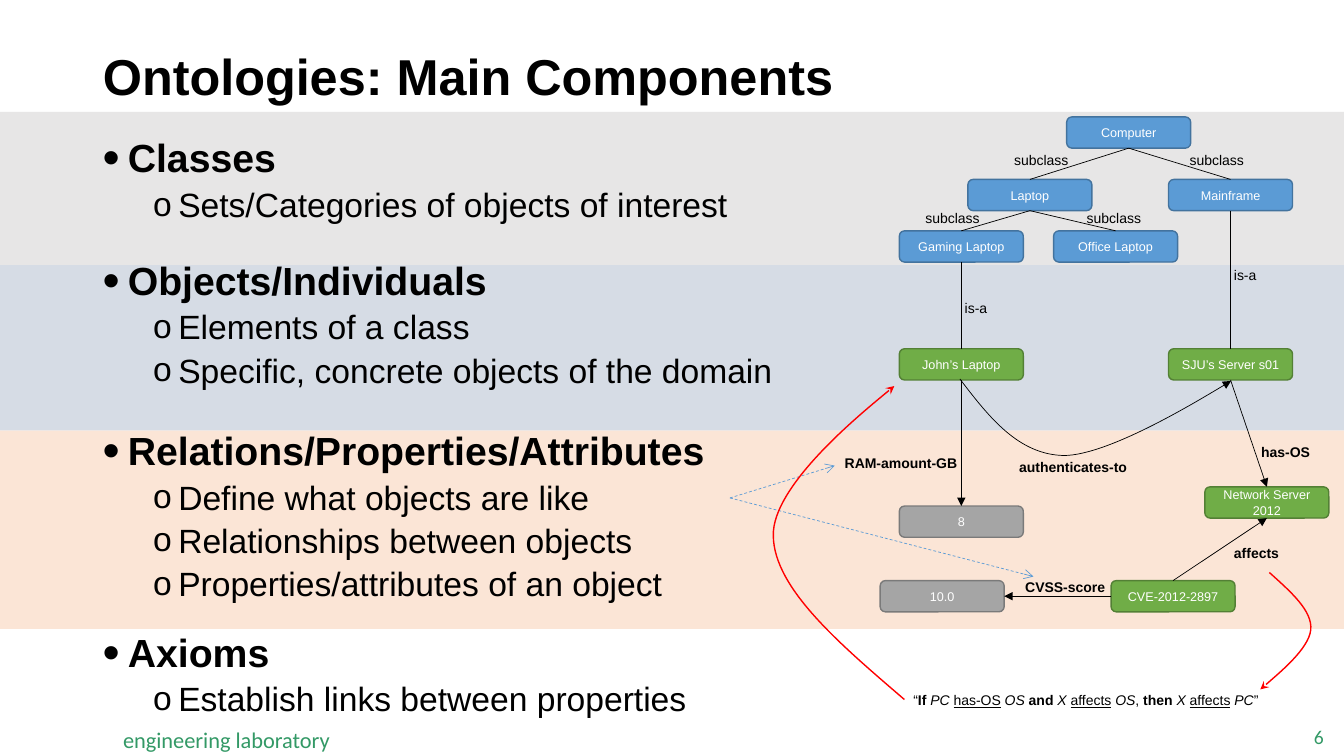
import lxml.etree
import pptx
import pptx.dml.color
import pptx.enum.dml
import pptx.enum.shapes
import pptx.enum.text
import pptx.oxml.ns
import pptx.util

Inches = pptx.util.Inches
Pt = pptx.util.Pt
qn = pptx.oxml.ns.qn
SHAPES = pptx.enum.shapes.MSO_SHAPE
ALIGN = pptx.enum.text.PP_ALIGN
ANCHOR = pptx.enum.text.MSO_ANCHOR
FIT = pptx.enum.text.MSO_AUTO_SIZE
DASH = pptx.enum.dml.MSO_LINE.DASH

TOP, LEFT, BOTTOM, RIGHT = range(4)
NODE_WIDTH, NODE_HEIGHT = 1.23, 0.31
BLUE, GREEN, GRAY = ("5B9BD5", "43739E"), ("70AD47", "538035"), ("A5A5A5", "7A7A7A")
NO_INSETS = dict.fromkeys(("margin_left", "margin_top", "margin_right", "margin_bottom"), 0)

BANDS = [(4.27, 1.97, "FBE5D6"), (1.11, 1.54, "E7E6E6"), (2.63, 1.64, "D6DCE5")]
TOPICS = [
    ("Classes", 0, ["Sets/Categories of objects of interest"]),
    ("Objects/Individuals", 26.4,
     ["Elements of a class", "Specific, concrete objects of the domain"]),
    ("Relations/Properties/Attributes", 29.5,
     ["Define what objects are like", "Relationships between objects",
      "Properties/attributes of an object"]),
    ("Axioms", 21.2, ["Establish links between properties"]),
]
NODES = {
    "Computer": (3.58, 0.16, BLUE),
    "Laptop": (2.6, 0.78, BLUE),
    "Mainframe": (4.59, 0.78, BLUE),
    "Gaming Laptop": (1.92, 1.29, BLUE),
    "Office Laptop": (3.45, 1.29, BLUE),
    "John’s Laptop": (1.92, 2.46, GREEN),
    "SJU’s Server s01": (4.59, 2.46, GREEN),
    "8": (1.92, 4.02, GRAY),
    "Network Server 2012": (4.95, 3.83, GREEN),
    "CVE-2012-2897": (4.02, 4.76, GREEN),
    "10.0": (1.73, 4.76, GRAY),
}
LINKS = [
    ("Computer", BOTTOM, "Laptop", TOP, None),
    ("Computer", BOTTOM, "Mainframe", TOP, None),
    ("Laptop", BOTTOM, "Gaming Laptop", TOP, None),
    ("Laptop", BOTTOM, "Office Laptop", TOP, None),
    ("Gaming Laptop", BOTTOM, "John’s Laptop", TOP, None),
    ("Mainframe", BOTTOM, "SJU’s Server s01", TOP, None),
    ("John’s Laptop", BOTTOM, "8", TOP, "triangle"),
    ("CVE-2012-2897", TOP, "Network Server 2012", BOTTOM, "triangle"),
    ("SJU’s Server s01", BOTTOM, "Network Server 2012", TOP, "triangle"),
    ("CVE-2012-2897", LEFT, "10.0", RIGHT, "triangle"),
]
LABELS = [
    ("subclass", 4.7, 0.45, 0.75, False),
    ("subclass", 2.96, 0.45, 0.75, False),
    ("subclass", 2.08, 1.03, 0.75, False),
    ("subclass", 3.68, 1.03, 0.75, False),
    ("is-a", 2.47, 1.92, 0.43, False),
    ("is-a", 5.14, 1.59, 0.43, False),
    ("authenticates-to", 3.01, 3.5, 1.28, True),
    ("RAM-amount-GB", 1.28, 3.46, 1.33, True),
    ("has-OS", 5.41, 3.35, 0.69, True),
    ("affects", 5.14, 4.35, 0.65, True),
    ("CVSS-score", 3.07, 4.69, 1, True),
]
POINTERS = [(0.24, 3.94, 1.28, 3.62), (0.24, 3.94, 3.25, 4.72)]
CURVES = [
    ([(2.52, 2.76), (2.81, 3.14), (3.1, 3.51), (3.55, 3.52),
      (4, 3.52), (5.21, 2.78), (5.21, 2.78)], "000000", 0.5, "triangle"),
    ([(5.59, 4.68), (5.8, 4.87), (6.02, 5.06), (6, 5.25),
      (5.98, 5.44), (5.5, 5.84), (5.5, 5.84)], "FF0000", 1, "stealth"),
    ([(1.97, 5.94), (1.33, 5.39), (0.68, 4.84), (0.67, 4.32),
      (0.65, 3.81), (1.87, 2.83), (1.87, 2.83)], "FF0000", 1, "stealth"),
]
AXIOM = [("“", ""), ("If ", "b"), ("PC ", "i"), ("has-OS", "u"), (" ", ""), ("OS ", "i"),
         ("and ", "b"), ("X ", "i"), ("affects", "u"), (" ", ""), ("OS", "i"), (", ", ""),
         ("then ", "b"), ("X ", "i"), ("affects", "u"), (" ", ""), ("PC", "i"), ("”", "")]


def colour(value):
    return pptx.dml.color.RGBColor.from_string(value)


def apply(target, values):
    for name, value in values.items():
        setattr(target, name, value)


def style_font(font, size, value="000000", name="Arial", bold=False):
    apply(font, {"size": Pt(size), "name": name, "bold": bold})
    font.color.rgb = colour(value)


def style_line(shape, value, width, arrow=None, dash=None):
    shape.line.color.rgb = colour(value)
    shape.line.width = Pt(width)
    if dash:
        shape.line.dash_style = dash
    if arrow:
        outline = shape._element.spPr.find(qn("a:ln"))
        lxml.etree.SubElement(outline, qn("a:tailEnd"), type=arrow)


def add_text(slide, left, top, width, height, frame_format):
    shape = slide.shapes.add_textbox(Inches(left), Inches(top), Inches(width), Inches(height))
    apply(shape.text_frame, frame_format)
    return shape.text_frame


def add_line_of_text(slide, text, box, frame_format, font_format, alignment=ALIGN.LEFT):
    paragraph = add_text(slide, *box, frame_format).paragraphs[0]
    paragraph.alignment = alignment
    run = paragraph.add_run()
    run.text = text
    style_font(run.font, **font_format)


def add_box(slide, kind, left, top, width, height, fill):
    shape = slide.shapes.add_shape(kind, Inches(left), Inches(top), Inches(width), Inches(height))
    shape.shadow.inherit = False
    shape.fill.solid()
    shape.fill.fore_color.rgb = colour(fill)
    return shape


def add_straight(slide, ends, value, arrow, dash=None):
    connector = slide.shapes.add_connector(
        pptx.enum.shapes.MSO_CONNECTOR.STRAIGHT, *(Inches(end) for end in ends))
    style_line(connector, value, 0.5, arrow, dash)
    lxml.etree.SubElement(connector._element.spPr, qn("a:effectLst"))
    return connector


def add_curve(slide, points, value, width, arrow):
    corners = [(Inches(x), Inches(y)) for x, y in points]
    builder = slide.shapes.build_freeform(*corners[0])
    builder.add_line_segments(corners[1:], close=False)
    shape = builder.convert_to_shape()
    shape.shadow.inherit = False
    shape.fill.background()
    style_line(shape, value, width, arrow)
    geometry = next(shape._element.iter(qn("a:path")))
    segments = geometry.findall(qn("a:lnTo"))
    for start in range(0, len(segments), 3):
        cubic = lxml.etree.SubElement(geometry, qn("a:cubicBezTo"))
        for segment in segments[start:start + 3]:
            cubic.append(segment[0])
            geometry.remove(segment)


def add_bands(slide, width):
    for top, height, fill in BANDS:
        add_box(slide, SHAPES.RECTANGLE, 0, top, width, height, fill).line.fill.background()


def add_title(slide, left, top, width, height):
    title = slide.shapes.title
    apply(title, {"left": Inches(left), "top": Inches(top),
                  "width": Inches(width), "height": Inches(height)})
    title.text_frame.text = "Ontologies: Main Components"
    apply(title.text_frame, {"vertical_anchor": ANCHOR.MIDDLE, "auto_size": FIT.NONE,
                             "word_wrap": True})
    paragraph = title.text_frame.paragraphs[0]
    apply(paragraph, {"alignment": ALIGN.LEFT, "line_spacing": 0.9})
    style_font(paragraph.runs[0].font, 36, bold=True)


def add_bullet(paragraph, text, level, space_before):
    properties = paragraph._p.get_or_add_pPr()
    properties.set("marL", str(Inches(0.25 + 0.5 * level)))
    properties.set("indent", str(Inches(-0.25)))
    lxml.etree.SubElement(properties, qn("a:buSzPct"), val="100000" if level else "125000")
    lxml.etree.SubElement(properties, qn("a:buFont"), typeface="Arial")
    lxml.etree.SubElement(properties, qn("a:buChar"), char="o" if level else "•")
    apply(paragraph, {"level": level, "line_spacing": 0.9, "space_before": Pt(space_before)})
    run = paragraph.add_run()
    run.text = text
    style_font(run.font, 24 if level else 28, bold=not level)


def add_topics(slide, left, top, width, height):
    frame = add_text(slide, left, top, width, height, {"word_wrap": True})
    for index, (heading, gap, details) in enumerate(TOPICS):
        paragraph = frame.add_paragraph() if index else frame.paragraphs[0]
        add_bullet(paragraph, heading, 0, gap)
        for detail in details:
            add_bullet(frame.add_paragraph(), detail, 1, 5)


def add_node(slide, text, left, top, fill, border):
    shape = add_box(slide, SHAPES.ROUNDED_RECTANGLE, left, top, NODE_WIDTH, NODE_HEIGHT, fill)
    style_line(shape, border, 1)
    apply(shape.text_frame, {"text": text, "word_wrap": True, "vertical_anchor": ANCHOR.MIDDLE})
    paragraph = shape.text_frame.paragraphs[0]
    paragraph.alignment = ALIGN.CENTER
    style_font(paragraph.runs[0].font, 9, "FFFFFF")
    return shape


def add_diagram(slide, left, top):
    label_format = {"word_wrap": False, "auto_size": FIT.SHAPE_TO_FIT_TEXT}
    nodes = {text: add_node(slide, text, left + x, top + y, *colours)
             for text, (x, y, colours) in NODES.items()}
    for source, source_side, target, target_side, arrow in LINKS:
        connector = add_straight(slide, (0, 0, 0, 0), "000000", arrow)
        connector.begin_connect(nodes[source], source_side)
        connector.end_connect(nodes[target], target_side)
    for text, x, y, width, bold in LABELS:
        add_line_of_text(slide, text, (left + x, top + y, width, 0.27), label_format,
                         {"size": 10, "bold": bold})
    for x1, y1, x2, y2 in POINTERS:
        add_straight(slide, (left + x1, top + y1, left + x2, top + y2), "5B9BD5", "arrow", DASH)
    paragraph = add_text(slide, left + 1.96, top + 5.81, 3.66, 0.27, label_format).paragraphs[0]
    for text, style in AXIOM:
        run = paragraph.add_run()
        run.text = text
        style_font(run.font, 10, bold=style == "b")
        apply(run.font, {"italic": style == "i", "underline": style == "u"})
    for points, *line_format in CURVES:
        add_curve(slide, [(left + x, top + y) for x, y in points], *line_format)


def add_footer(slide, left, top, right):
    green = {"value": "339966", "name": "Calibri"}
    add_line_of_text(slide, "engineering laboratory", (left, top, 2.08, 0.27),
                     {**NO_INSETS, "word_wrap": False}, {"size": 16, **green})
    add_line_of_text(slide, "6", (right - 0.62, top - 0.02, 0.62, 0.26),
                     {**NO_INSETS, "word_wrap": True, "vertical_anchor": ANCHOR.MIDDLE},
                     {"size": 14, **green}, ALIGN.RIGHT)


def main():
    presentation = pptx.Presentation()
    apply(presentation, {"slide_width": Inches(13.33), "slide_height": Inches(7.5)})
    slide = presentation.slides.add_slide(presentation.slide_layouts[5])
    add_bands(slide, 13.33)
    add_title(slide, 0.92, 0.4, 11.5, 0.78)
    add_topics(slide, 0.92, 1.33, 11.5, 5.64)
    add_diagram(slide, 7, 1)
    add_footer(slide, 1.22, 7.2, 13.13)
    presentation.save("out.pptx")


if __name__ == "__main__":
    main()
